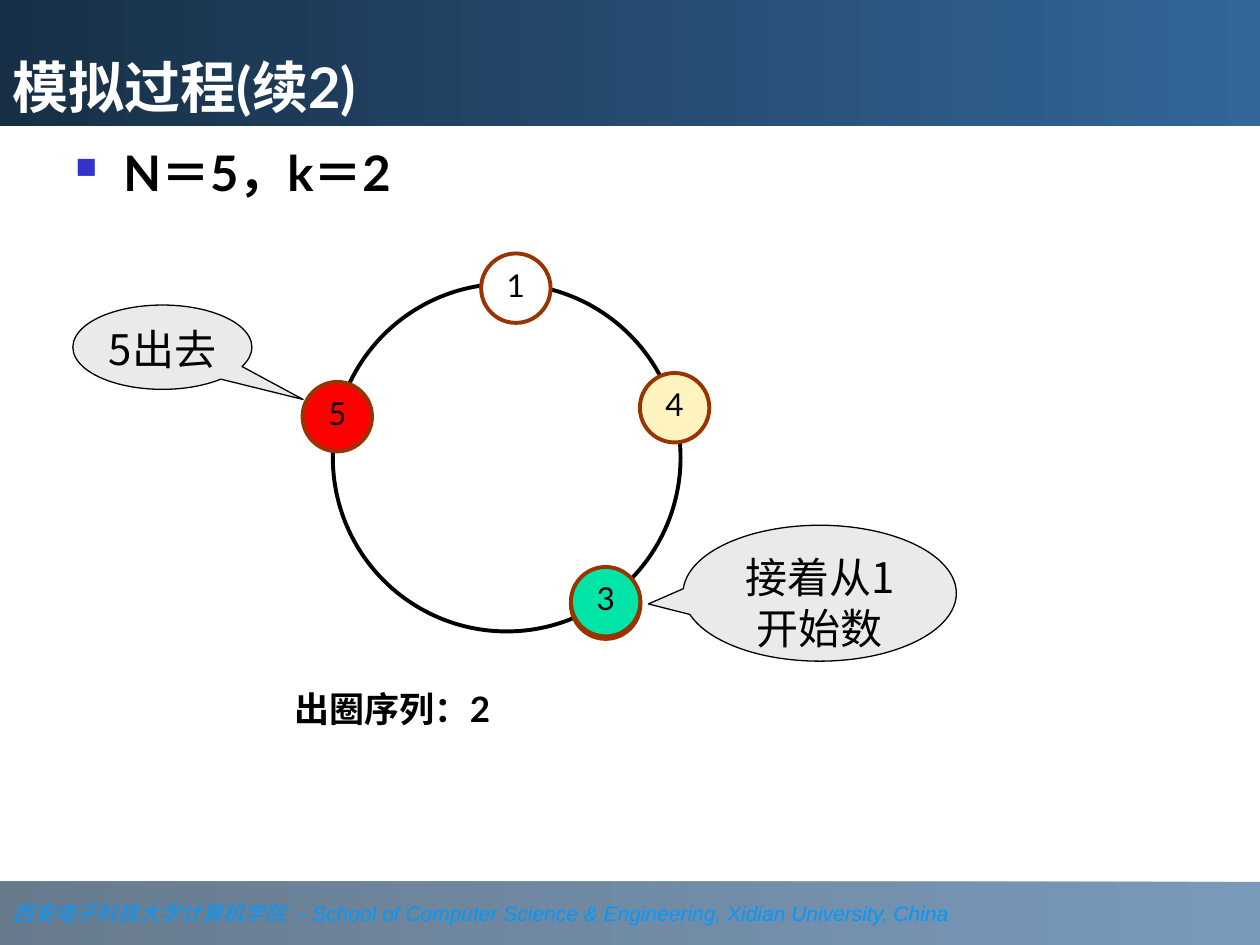
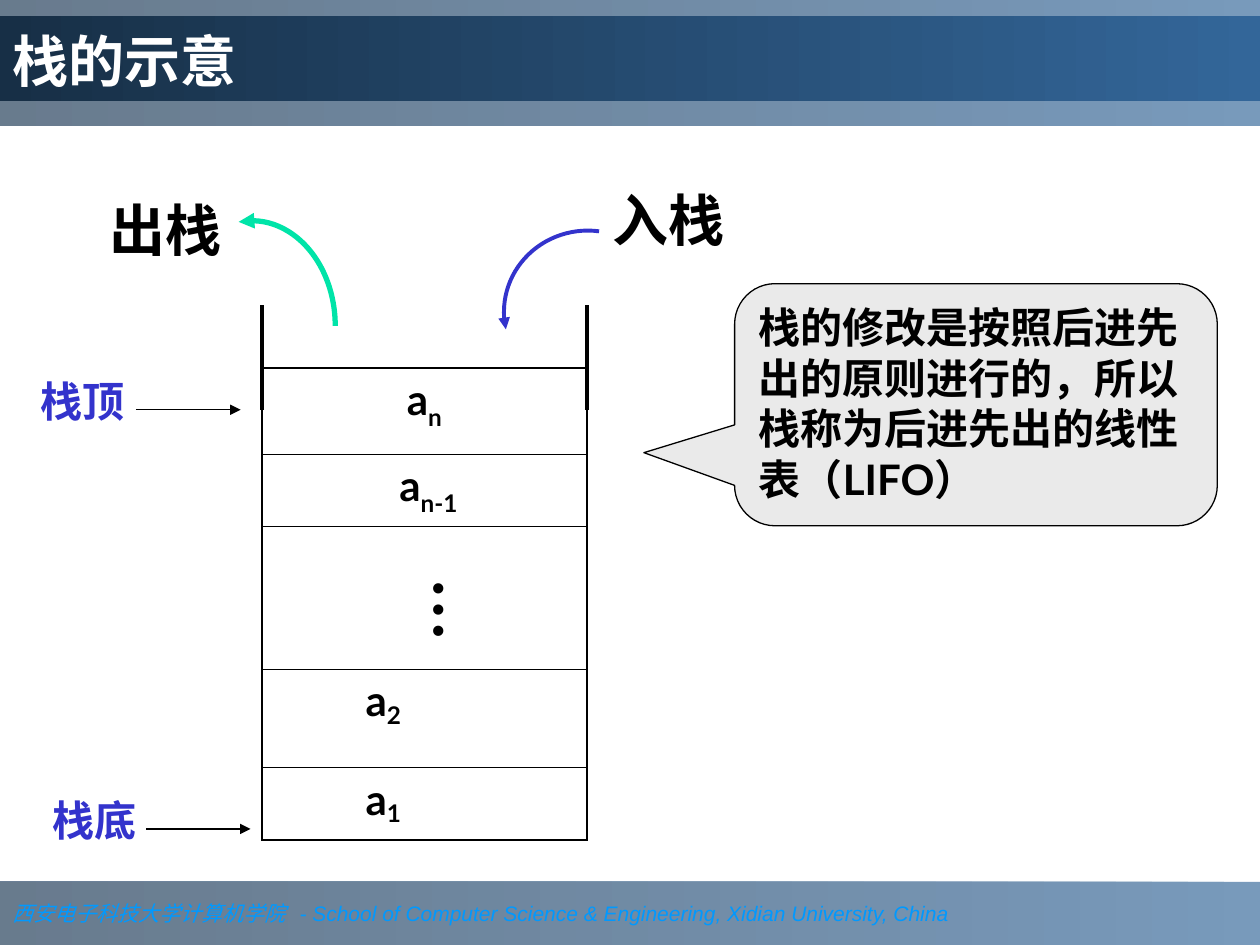
from lxml import etree
from pptx import Presentation
from pptx.dml.color import RGBColor
from pptx.enum import shapes, text
from pptx.oxml.ns import qn
from pptx.util import Cm, Pt

# Colours and fonts
BLACK = RGBColor(0, 0, 0)
WHITE = RGBColor(255, 255, 255)
BLUE = RGBColor(0x33, 0x33, 0xCC)
GREEN = RGBColor(0, 0xE4, 0xA8)
RED = RGBColor(255, 0, 0)
CREAM = RGBColor(0xFF, 0xF3, 0xBF)
BROWN = RGBColor(0x99, 0x33, 0)
GREY = RGBColor(0xEA, 0xEA, 0xEA)
SKY = RGBColor(0, 0x99, 0xFF)
LIGHT = RGBColor(0x33, 0x66, 0x99)
NAVY = RGBColor(0x17, 0x2F, 0x46)
DEEP = RGBColor(0x1B, 0x37, 0x53)
LATO, SERIF, SANS, CJK = "Lato", "Times New Roman", "Arial", "Noto Sans CJK SC"
KIND = shapes.MSO_SHAPE
MID, TOP, LOW = (text.MSO_ANCHOR.MIDDLE, text.MSO_ANCHOR.TOP,
                 text.MSO_ANCHOR.BOTTOM)
MIDDLE = text.PP_ALIGN.CENTER

# Content: places are left, top, width, height in cm
WIDE, HIGH, BAND, FOOT = 25.4, 19.05, 2.54, 1.27
SCHOOL = [("西安电子科技大学计算机学院", SERIF),
          ("\t- School of Computer Science & Engineering, "
           "Xidian University, China", SANS)]
SCHOOL_TAB = 5.79

RING = (6.71, 5.72, 7.01, 7.01)
DISC = 1.4
DISCS = [("1", 9.7, 5.11, WHITE), ("3", 11.51, 11.48, WHITE),
         ("4", 12.9, 7.52, CREAM), ("3", 11.51, 11.43, GREEN),
         ("5", 6.1, 7.7, RED)]
CALLS = [(["接着从1", "开始数"], (13.77, 10.59, 5.51, 2.74), (-0.627, 0.079), 0),
         (["5出去"], (1.47, 6.15, 3.61, 1.7), (0.786, 0.62), 0.05)]

RULE = "栈的修改是按照后进先出的原则进行的，所以栈称为后进先出的线性表（LIFO）"
STACK = (5.28, 7.42, 6.55)
# letter, subscript, offset, row height, left margin, centred
CELLS = [("a", "n", -25, 1.73, 0.25, True),
         ("a", "n-1", -25, 1.47, 0.42, True),
         ("", "", 0, 2.87, 0.25, False),
         ("a", "2", -18, 1.98, 2.09, False),
         ("a", "1", -18, 1.47, 2.09, False)]
WALL = (6.15, 8.26)
ARCS = [((3.38, 4.45, 3.38, 4.24), (263, 0), GREEN, 3),
        ((10.16, 4.65, 3.38, 3.28), (168, 278), BLUE, 2.25)]
ARROWS = [(2.74, 4.85, 8.26), (2.95, 5.05, 16.71)]
LABELS = [("栈底", (0.81, 15.88, 2.97, 1.27), 24, BLUE),
          ("入栈", (12.09, 3.61, 3.18, 2.97), 32, BLACK),
          ("出栈", (1.96, 3.81, 3.18, 2.97), 32, BLACK),
          ("栈顶", (0.56, 7.44, 3.4, 2.29), 24, BLUE)]


# Helpers
def sub(node, tag, **attrs):
    return etree.SubElement(node, qn(tag), attrs)


def style(para, size, name=None, color=BLACK, bold=False, align=None):
    font = para.font
    font.size, font.bold, font.color.rgb = Pt(size), bold, color
    if name:
        font.name = name
    if align is not None:
        para.alignment = align


def frame(shape, anchor=TOP, wrap=True, side=0.25):
    body = shape.text_frame
    body.word_wrap, body.vertical_anchor = wrap, anchor
    body.margin_left = body.margin_right = Cm(side)
    body.margin_top = body.margin_bottom = Cm(0.13)
    return body


def write(shape, lines, size, name, color=BLACK, bold=False, align=None, **kw):
    body = frame(shape, **kw)
    for i, line in enumerate(lines):
        para = body.add_paragraph() if i else body.paragraphs[0]
        para.text = line
        style(para, size, name, color, bold, align or text.PP_ALIGN.LEFT)
    return body.paragraphs[0]


def box(slide, at):
    return slide.shapes.add_textbox(*map(Cm, at))


def draw(slide, kind, at, fill=None, line=None, width=0.75, adj=()):
    shape = slide.shapes.add_shape(kind, *map(Cm, at))
    shape.shadow.inherit = False
    for i, value in enumerate(adj):
        shape.adjustments[i] = value
    if fill is None:
        shape.fill.background()
    else:
        shape.fill.solid()
        shape.fill.fore_color.rgb = fill
    if line is None:
        shape.line.fill.background()
    else:
        shape.line.color.rgb, shape.line.width = line, Pt(width)
    return shape


def band(slide, at, dark, alpha=None):
    shape = draw(slide, KIND.RECTANGLE, at)
    shape.fill.gradient()
    shape.fill.gradient_angle = 180
    for stop, color in zip(shape.fill.gradient_stops, (LIGHT, dark)):
        stop.color.rgb = color
    if alpha:
        for color in shape._element.spPr.iter(qn("a:srgbClr")):
            sub(color, "a:alpha", val=str(alpha * 1000))
    return shape


def link(slide, x1, y1, x2, y2, width, tip=False):
    line = slide.shapes.add_connector(shapes.MSO_CONNECTOR.STRAIGHT,
                                      *map(Cm, (x1, y1, x2, y2)))
    line.line.color.rgb, line.line.width = BLACK, Pt(width)
    if tip:
        sub(line.line._get_or_add_ln(), "a:tailEnd", type="triangle")
    sub(line._element.spPr, "a:effectLst")


def start(deck, title, top, height):
    slide = deck.slides.add_slide(deck.slide_layouts[6])
    # Footer and header bands
    foot = band(slide, (0, HIGH - FOOT, WIDE, FOOT), DEEP, 66)
    para = frame(foot, MID).paragraphs[0]
    tabs = sub(para._p.get_or_add_pPr(), "a:tabLst")
    sub(tabs, "a:tab", pos=str(Cm(SCHOOL_TAB)), algn="l")
    style(para, 12, color=SKY, align=text.PP_ALIGN.LEFT)
    para.font.italic = True
    for words, name in SCHOOL:
        run = para.add_run()
        run.text, run.font.name = words, name
    band(slide, (0, 0, WIDE, BAND), DEEP, 66)
    # Title
    head = band(slide, (0, top, WIDE, height), NAVY)
    write(head, [title], 32, LATO, WHITE, True, anchor=LOW)
    return slide


def circle(deck):
    slide = start(deck, "模拟过程(续2)", 0, BAND)
    # Bullet line
    body = box(slide, (1.27, 2.74, 22.86, 2.34))
    ppr = body.text_frame.paragraphs[0]._p.get_or_add_pPr()
    ppr.set("marL", str(Cm(0.97)))
    ppr.set("indent", str(-Cm(0.97)))
    sub(sub(ppr, "a:buClr"), "a:srgbClr", val=str(BLUE))
    sub(ppr, "a:buSzPct", val="60000")
    sub(ppr, "a:buChar", char="■")
    write(body, ["N＝5，k＝2"], 28, LATO, bold=True)
    # Ring and its people
    draw(slide, KIND.OVAL, RING, line=BLACK, width=2.25)
    for name, x, y, fill in DISCS:
        disc = draw(slide, KIND.OVAL, (x, y, DISC, DISC), fill, BROWN, 2.25)
        write(disc, [name], 18, LATO, align=MIDDLE, anchor=MID,
              wrap=False).line_spacing = 0.8
    write(box(slide, (5.69, 13.89, 9.2, 0.94)), ["出圈序列：2"], 20, LATO,
          bold=True).line_spacing = 0.8
    # Callouts
    for lines, at, adj, side in CALLS:
        call = draw(slide, KIND.OVAL_CALLOUT, at, GREY, BLACK, adj=adj)
        write(call, lines, 24, CJK, align=MIDDLE, side=side)


def edge(cell, first, last):
    tcpr = cell._tc.get_or_add_tcPr()
    widths = {"L": 1.08, "R": 1.08, "T": 1.08 if first else 0.45,
              "B": 1.08 if last else 0.45}
    for part, width in widths.items():
        line = sub(tcpr, "a:ln" + part, w=str(Pt(width)))
        sub(sub(line, "a:solidFill"), "a:srgbClr", val=str(BLACK))


def stack(deck):
    slide = start(deck, "栈的示意", 0.33, 1.7)
    call = draw(slide, KIND.ROUNDED_RECTANGULAR_CALLOUT,
                (14.81, 5.72, 9.73, 4.88), GREY, BLACK,
                adj=(-0.688, 0.198, 0.167))
    write(call, [RULE], 24, LATO, bold=True)
    # Stack cells
    left, top, width = STACK
    high = sum(row[3] for row in CELLS)
    grid = slide.shapes.add_table(len(CELLS), 1, Cm(left), Cm(top),
                                  Cm(width), Cm(high)).table
    grid.first_row = grid.horz_banding = False
    for i, (name, index, base, tall, inset, mid) in enumerate(CELLS):
        grid.rows[i].height = Cm(tall)
        cell = grid.cell(i, 0)
        edge(cell, i == 0, i == len(CELLS) - 1)
        cell.fill.background()
        cell.margin_left = Cm(inset)
        para = cell.text_frame.paragraphs[0]
        style(para, 24, LATO, bold=True, align=MIDDLE if mid else None)
        if name:
            para.add_run().text = name
            low = para.add_run()
            low.text = index
            low.font._element.set("baseline", str(base * 1000))
    dots = box(slide, (8.41, 11.38, 1.7, 1.78))
    dots.rotation = 90
    write(dots, ["…"], 36, SERIF, bold=True)
    # Open walls
    for x in (left, left + width):
        link(slide, x, WALL[0], x, WALL[1], 2.25)
    # Push and pop arrows; arc angles are stored in 60000ths of a degree
    for at, turn, color, thick in ARCS:
        arc = draw(slide, KIND.ARC, at, None, color, thick,
                   [angle * 0.6 for angle in turn])
        sub(arc.line._get_or_add_ln(), "a:headEnd", type="triangle")
    # Pointers and labels
    for x1, x2, y in ARROWS:
        link(slide, x1, y, x2, y, 0.75, True)
    for words, at, size, color in LABELS:
        write(box(slide, at), [words], size, SERIF, color, True)


def main():
    deck = Presentation()
    deck.slide_width, deck.slide_height = Cm(WIDE), Cm(HIGH)
    circle(deck)
    stack(deck)
    deck.save("out.pptx")


if __name__ == "__main__":
    main()
